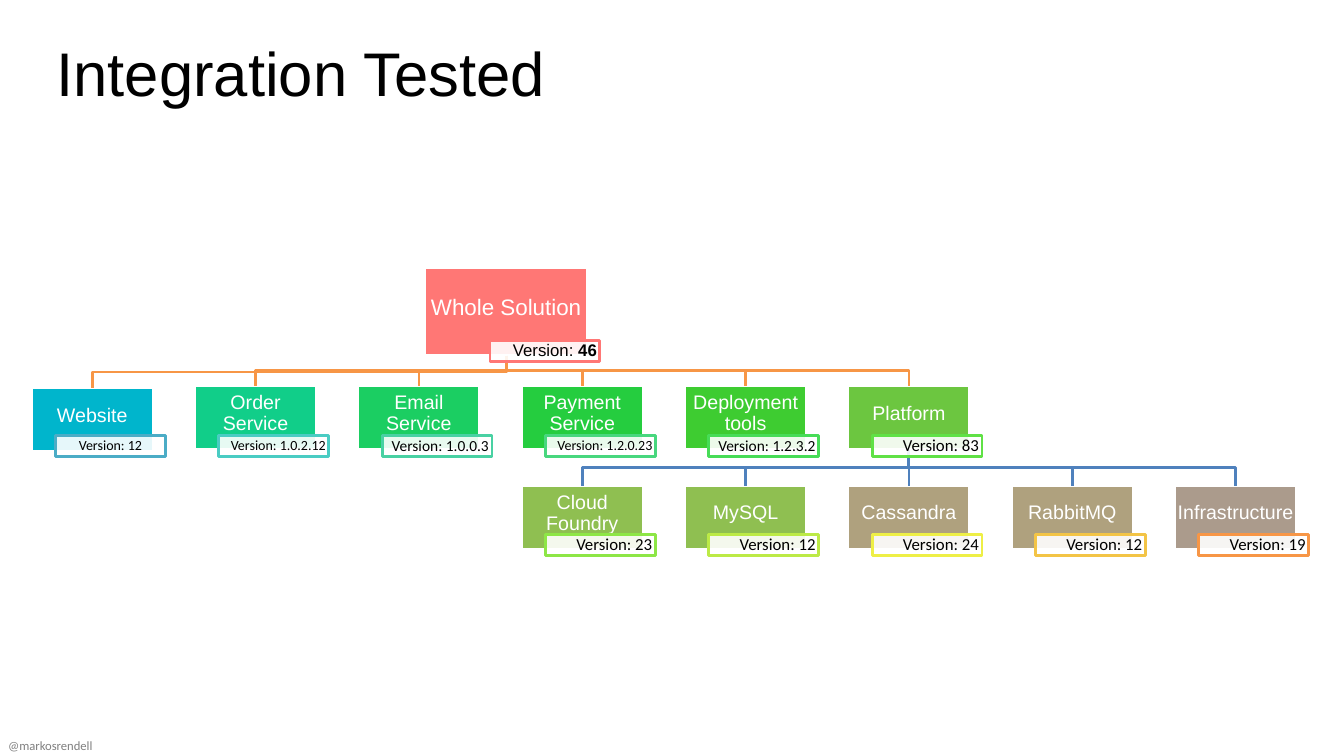
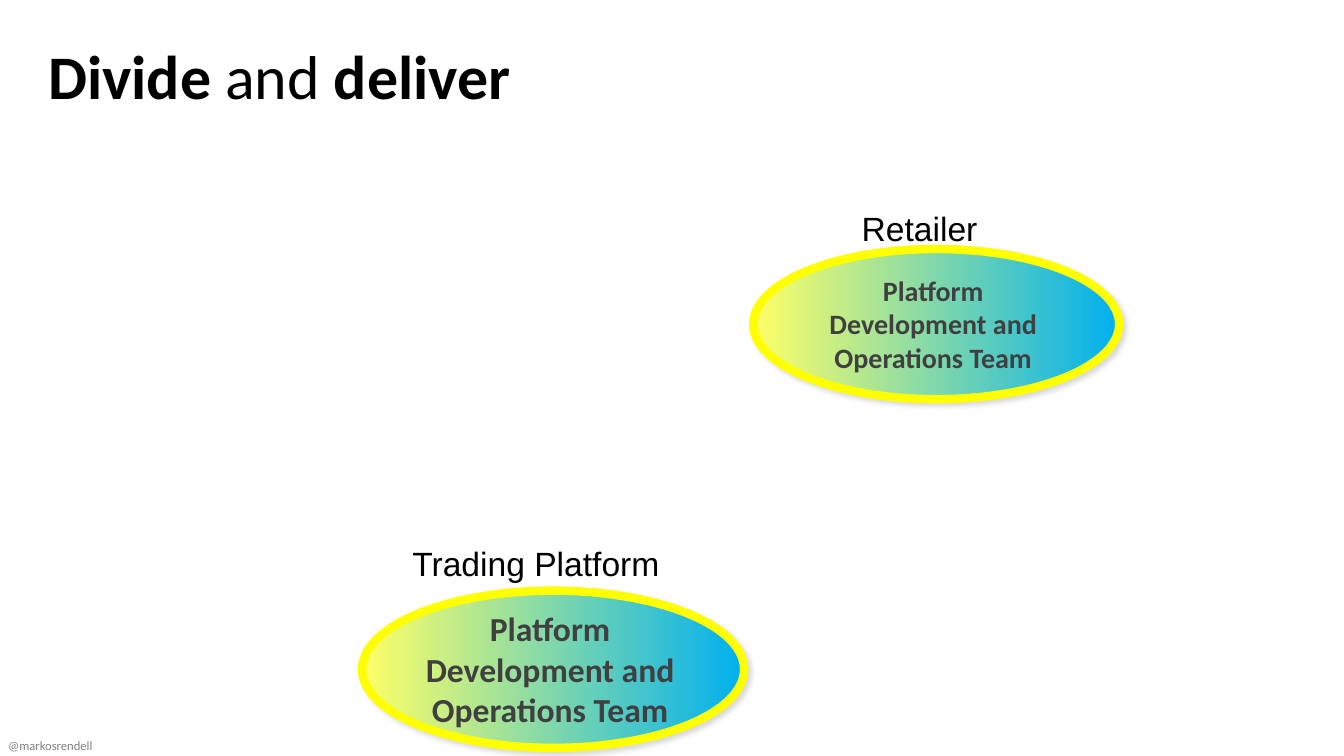
from lxml import etree
from pptx import Presentation
from pptx.dml.color import RGBColor
from pptx.enum.shapes import MSO_CONNECTOR, MSO_SHAPE
from pptx.enum.text import MSO_ANCHOR, MSO_AUTO_SIZE, PP_ALIGN
from pptx.oxml.ns import qn
from pptx.util import Inches, Pt

LEFT, CENTER, RIGHT = PP_ALIGN.LEFT, PP_ALIGN.CENTER, PP_ALIGN.RIGHT
TOP, MIDDLE = MSO_ANCHOR.TOP, MSO_ANCHOR.MIDDLE
RECT, OVAL = MSO_SHAPE.RECTANGLE, MSO_SHAPE.OVAL
STRAIGHT, NO_FIT = MSO_CONNECTOR.STRAIGHT, MSO_AUTO_SIZE.NONE

BLACK = RGBColor(0x00, 0x00, 0x00)
WHITE = RGBColor(0xFF, 0xFF, 0xFF)
GREY = RGBColor(0x80, 0x80, 0x80)
CHARCOAL = RGBColor(0x40, 0x40, 0x40)
ORANGE = RGBColor(0xF7, 0x96, 0x46)
BLUE = RGBColor(0x4F, 0x81, 0xBD)
CORAL = RGBColor(0xFF, 0x77, 0x75)
YELLOW = RGBColor(0xFF, 0xFF, 0x00)
PALE_YELLOW = RGBColor(0xFF, 0xFF, 0x66)
SKY = RGBColor(0x00, 0xB0, 0xF0)


def write(sp, text, size, font, color, align=LEFT, anchor=MIDDLE,
          margins=(0.1, 0.05, 0.1, 0.05), spacing=None):
    """Fill a shape with text; one paragraph a line, *stars* mark bold."""
    tf = sp.text_frame
    tf.word_wrap = True
    tf.auto_size = NO_FIT
    tf.vertical_anchor = anchor
    tf.margin_left, tf.margin_top, tf.margin_right, tf.margin_bottom = map(Inches, margins)
    for i, line in enumerate(text.split("\n")):
        p = tf.add_paragraph() if i else tf.paragraphs[0]
        p.alignment = align
        p.line_spacing = spacing
        for j, part in enumerate(line.split("*")):
            if part:
                r = p.add_run()
                r.text = part
                r.font.size, r.font.name = Pt(size), font
                r.font.bold = j % 2 == 1
                r.font.color.rgb = color


def add_rect(s, left, top, width, height, fill, line):
    sp = s.shapes.add_shape(RECT, Inches(left), Inches(top), Inches(width), Inches(height))
    sp.shadow.inherit = False
    sp.fill.solid()
    sp.fill.fore_color.rgb = fill
    sp.line.color.rgb = line
    sp.line.width = Pt(2)
    return sp


prs = Presentation()
prs.slide_width, prs.slide_height = Inches(13.33), Inches(7.5)

# Shared parts: title and footer
titles = [
    ("Integration Tested", (0.46, 0.3, 8.18, 0.84), 44, "Arial", TOP, (0.1, 0.05, 0.1, 0.05)),
    ("*Divide* and *deliver*", (0.35, 0.12, 9, 1.25), 44.2, "Calibri", MIDDLE,
     (0.13, 0.07, 0.13, 0.07)),
]
for text, box, size, font, anchor, margins in titles:
    s = prs.slides.add_slide(prs.slide_layouts[5])
    title = s.shapes.title
    title.left, title.top, title.width, title.height = map(Inches, box)
    write(title, text, size, font, BLACK, anchor=anchor, margins=margins)
    footer = s.shapes.add_textbox(Inches(0.08), Inches(7.31), Inches(3.17), Inches(0.17))
    write(footer, "@markosrendell", 9, "Calibri", GREY, margins=(0, 0.05, 0.1, 0.05))

# Slide 1: tree of versioned components
s = prs.slides[0]
COL_LEFT, COL_STEP = 0.31, 1.62
BOX_W, BOX_H = 1.21, 0.63
TAG_W, TAG_H, TAG_DX = 1.09, 0.21, 0.24
SERVICE_TOP, SERVICE_TAG_TOP = 3.83, 4.32
PART_TOP, PART_TAG_TOP = 4.82, 5.3

# name, version, version size, box colour, tag colour
services = [
    ("Website", "12", 10, "00B5CC", "4BACC6"),
    ("Order Service", "1.0.2.12", 10, "11CE89", "4ACCC3"),
    ("Email Service", "1.0.0.3", 11, "1BCE62", "49D1A3"),
    ("Payment Service", "1.2.0.23", 10, "25CD3F", "48D77E"),
    ("Deployment tools", "1.2.3.2", 11, "3ECC31", "47DC57"),
    ("Platform", "83", 12, "6CC640", "60E146"),
]
platform_parts = [
    ("Cloud Foundry", "23", 12, "8FBF51", "8DE646"),
    ("MySQL", "12", 12, "8FBF51", "BCEA46"),
    ("Cassandra", "24", 12, "AFA17E", "EEEF46"),
    ("RabbitMQ", "12", 12, "AFA17E", "F3C446"),
    ("Infrastructure", "19", 12, "AB9B8C", "F79646"),
]
rows = [
    (services, 0, SERVICE_TOP, SERVICE_TAG_TOP, ORANGE),
    (platform_parts, 3, PART_TOP, PART_TAG_TOP, BLUE),
]

# Boxes and links; the last box of a row is the parent of the next row
parent = add_rect(s, 4.21, 2.66, 1.62, 0.87, CORAL, WHITE)
write(parent, "Whole Solution", 16, "Arial", WHITE, CENTER,
      margins=(0.01, 0.01, 0.01, 0.09), spacing=0.9)
tags = [(4.86, 3.38, "Version: *46*", 12, "Arial", RIGHT, CORAL)]
for items, first_col, row_top, tag_top, link_color in rows:
    start_x, start_y = parent.left + parent.width // 2, parent.top + parent.height
    for col, (name, version, size, fill, tag_color) in enumerate(items, first_col):
        is_website = name == "Website"
        left = COL_LEFT + COL_STEP * col
        top = row_top + (0.02 if is_website else 0)
        box = add_rect(s, left, top, BOX_W, BOX_H, RGBColor.from_string(fill), WHITE)
        write(box, name, 14, "Arial", WHITE, CENTER,
              margins=(0.01, 0.01, 0.01, 0.09), spacing=0.9)
        tags.append((left + TAG_DX, tag_top, "Version: " + version, size, "Calibri",
                     CENTER if is_website else RIGHT, RGBColor.from_string(tag_color)))

        end_x = box.left + box.width // 2
        if abs(end_x - start_x) < Inches(0.01):
            link = s.shapes.add_connector(STRAIGHT, start_x, start_y, end_x, box.top)
            link.begin_connect(parent, 2)
            link.end_connect(box, 0)
            etree.SubElement(link._element.spPr, qn("a:effectLst"))
        else:
            bus_y = (start_y + box.top) // 2
            builder = s.shapes.build_freeform(start_x, start_y)
            builder.add_line_segments(
                [(start_x, bus_y), (end_x, bus_y), (end_x, box.top)], close=False)
            link = builder.convert_to_shape()
            link.shadow.inherit = False
            link.fill.background()
        link.line.color.rgb = link_color
        link.line.width = Pt(2)
    parent = box

# Version tags
for left, top, text, size, font, align, color in tags:
    tag = add_rect(s, left, top, TAG_W, TAG_H, WHITE, color)
    rgb = tag._element.spPr.find(qn("a:solidFill")).find(qn("a:srgbClr"))
    etree.SubElement(rgb, qn("a:alpha"), val="90000")
    write(tag, text, size, font, BLACK, align, margins=(0.03, 0.01, 0.03, 0.01), spacing=0.9)

# Slide 2: two teams under their labels
s = prs.slides[1]
teams = [
    ("Retailer", (8.34, 2.01, 1.56, 0.5), (7.47, 2.47, 3.63, 1.49), 20),
    ("Trading Platform", (3.89, 5.34, 2.85, 0.5), (3.59, 5.86, 3.79, 1.56), 24),
]
for name, label_box, oval_box, size in teams:
    oval = s.shapes.add_shape(OVAL, *map(Inches, oval_box))
    oval.fill.gradient()
    oval.fill.gradient_angle = 0
    for stop, position, color in zip(oval.fill.gradient_stops, (0, 1), (PALE_YELLOW, SKY)):
        stop.position = position
        stop.color.rgb = color
    oval.line.color.rgb = YELLOW
    oval.line.width = Pt(6)
    oval.shadow.inherit = False
    effects = oval._element.spPr.find(qn("a:effectLst"))
    shadow = etree.SubElement(effects, qn("a:outerShdw"), blurRad=str(Pt(4)),
                              dist=str(Pt(3)), dir="2700000", rotWithShape="0")
    rgb = etree.SubElement(shadow, qn("a:srgbClr"), val="000000")
    etree.SubElement(rgb, qn("a:alpha"), val="15000")
    write(oval, "*Platform*\n*Development and Operations Team*", size, "Calibri", CHARCOAL,
          CENTER, margins=(0.04, 0.04, 0.1, 0.05))
    label = s.shapes.add_textbox(*map(Inches, label_box))
    write(label, name, 24, "Arial", BLACK, CENTER, TOP)

prs.save("out.pptx")
